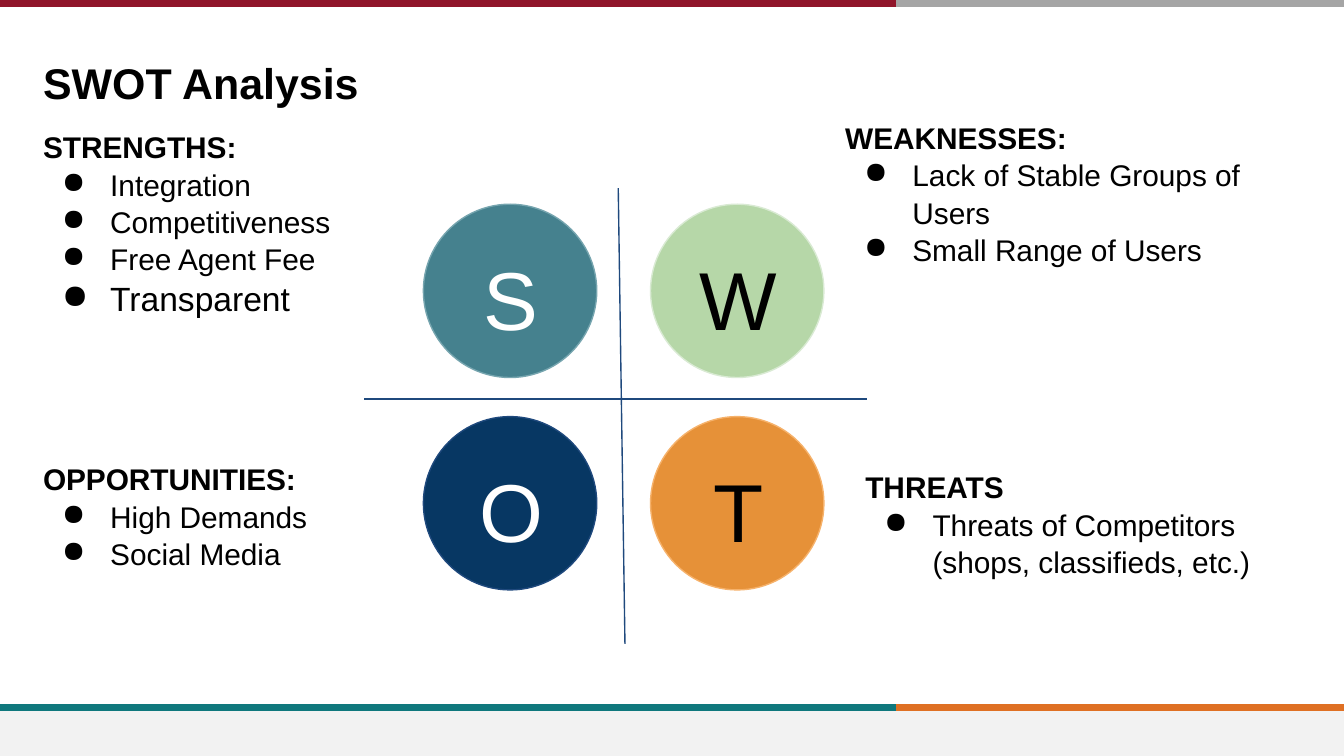
from lxml import etree
from pptx import Presentation
from pptx import util as u
from pptx.dml.color import RGBColor
from pptx.enum import shapes, text
from pptx.oxml.ns import qn

WIDE, HIGH = u.Inches(10), u.Inches(5.625)
SPLIT = 66.67   # where the two-tone rules change colour
THIN, SNUG = 0.07, 0.04


def color(code):
    return RGBColor.from_string(code)


def across(share):
    return round(WIDE * share / 100)


def down(share):
    return round(HIGH * share / 100)


def place(x, y, w, h):
    """Turn percent shares of the slide into lengths."""
    return across(x), down(y), across(w), down(h)


def rule(slide, x1, y1, x2, y2, tint, width):
    line = slide.shapes.add_connector(
        shapes.MSO_CONNECTOR.STRAIGHT,
        across(x1), down(y1), across(x2), down(y2))
    line.line.color.rgb = color(tint)
    line.line.width = u.Pt(width)
    etree.SubElement(line._element.spPr, qn("a:effectLst"))


def solid(slide, kind, spot, fill, edge=None):
    form = slide.shapes.add_shape(kind, *place(*spot))
    form.shadow.inherit = False
    form.fill.solid()
    form.fill.fore_color.rgb = color(fill)
    if edge:
        form.line.color.rgb = color(edge)
        form.line.width = u.Pt(0.75)
    else:
        form.line.fill.background()


def bullet(para):
    props = para._p.get_or_add_pPr()
    props.set("marL", str(u.Inches(0.5)))
    props.set("indent", str(u.Inches(-0.36)))
    tint = etree.SubElement(props, qn("a:buClr"))
    etree.SubElement(tint, qn("a:srgbClr")).set("val", "000000")
    etree.SubElement(props, qn("a:buChar")).set("char", "●")


def write(para, words, size=16, tint="000000", bold=False,
          align=None, space=None, dot=False):
    """Put formatted words in a paragraph."""
    para.alignment = align
    para.line_spacing = space
    if dot:
        bullet(para)
    run = para.add_run()
    run.text = words
    font = run.font
    font.name, font.size, font.bold = "Arial", u.Pt(size), bold
    font.color.rgb = color(tint)


def frame(slide, spot, side, top):
    """Add an empty wrapping text box and return its frame."""
    body = slide.shapes.add_textbox(*place(*spot)).text_frame
    body.word_wrap = True
    body.vertical_anchor = text.MSO_ANCHOR.TOP
    body.margin_left = body.margin_right = u.Inches(side)
    body.margin_top, body.margin_bottom = u.Inches(top), u.Inches(SNUG)
    return body


def panel(slide, spot, side, top, head, items):
    body = frame(slide, spot, side, top)
    write(body.paragraphs[0], head, bold=True, space=1.04)
    for words, size in items:
        write(body.add_paragraph(), words, size=size, space=1.04, dot=True)


def badge(slide, col, row, mark, fill, edge, tint):
    """Draw one lettered circle of the two by two grid."""
    x, y = 31.5 + 16.9 * col, 27.02 + 28.09 * row
    solid(slide, shapes.MSO_SHAPE.OVAL, (x, y, 12.9, 22.93), fill, edge)
    body = frame(slide, (x + 2.1, y + 2.75, 8.9, 16.71), 0.1, 0.17)
    write(body.paragraphs[0], mark, size=44, tint=tint,
          align=text.PP_ALIGN.CENTER)


def main():
    deck = Presentation()
    deck.slide_width, deck.slide_height = WIDE, HIGH
    slide = deck.slides.add_slide(deck.slide_layouts[6])

    # Footer band and two-tone rules
    solid(slide, shapes.MSO_SHAPE.RECTANGLE, (0, 94.04, 100, 5.96), "F2F2F2")
    for y, left, right in ((93.6, "0F787D", "DF7023"),
                           (0.44, "90152A", "A5A5A5")):
        rule(slide, SPLIT, y, 100, y, right, 4)
        rule(slide, 0, y, SPLIT, y, left, 4)

    # Title
    title = frame(slide, (2.5, 6.04, 79.9, 7.82), THIN, 0.08)
    write(title.paragraphs[0], "SWOT Analysis", size=23, bold=True)

    # Lettered circles
    for n, (mark, fill, edge, tint) in enumerate((
            ("S", "45818E", "76A5AF", "FFFFFF"),
            ("W", "B6D7A8", "D9EAD3", "000000"),
            ("O", "073763", "1F497D", "FFFFFF"),
            ("T", "E69138", "F6B26B", "000000"))):
        badge(slide, n % 2, n // 2, mark, fill, edge, tint)

    # Lists around the circles
    panel(slide, (2.5, 16.18, 26.5, 38.04), THIN, SNUG, "STRENGTHS:",
          [("Integration", 16), ("Competitiveness", 16),
           ("Free Agent Fee", 16), ("Transparent", 18)])
    panel(slide, (61.9, 13.87, 37.2, 40.36), 0.1, 0.1, "WEAKNESSES:",
          [("Lack of Stable Groups of Users", 16),
           ("Small Range of Users", 16)])
    panel(slide, (63.4, 60.09, 31.8, 28.44), 0.1, 0.1, "THREATS",
          [("Threats of Competitors (shops, classifieds, etc.)", 16)])
    panel(slide, (2.5, 60.09, 26.5, 31.11), THIN, SNUG, "OPPORTUNITIES:",
          [("High Demands", 16), ("Social Media", 16)])

    # Crossing axes
    rule(slide, 27.1, 52.8, 64.5, 52.8, "1F497D", 0.75)
    rule(slide, 46.5, 85.16, 46, 24.89, "1F497D", 0.75)

    deck.save("out.pptx")


main()
